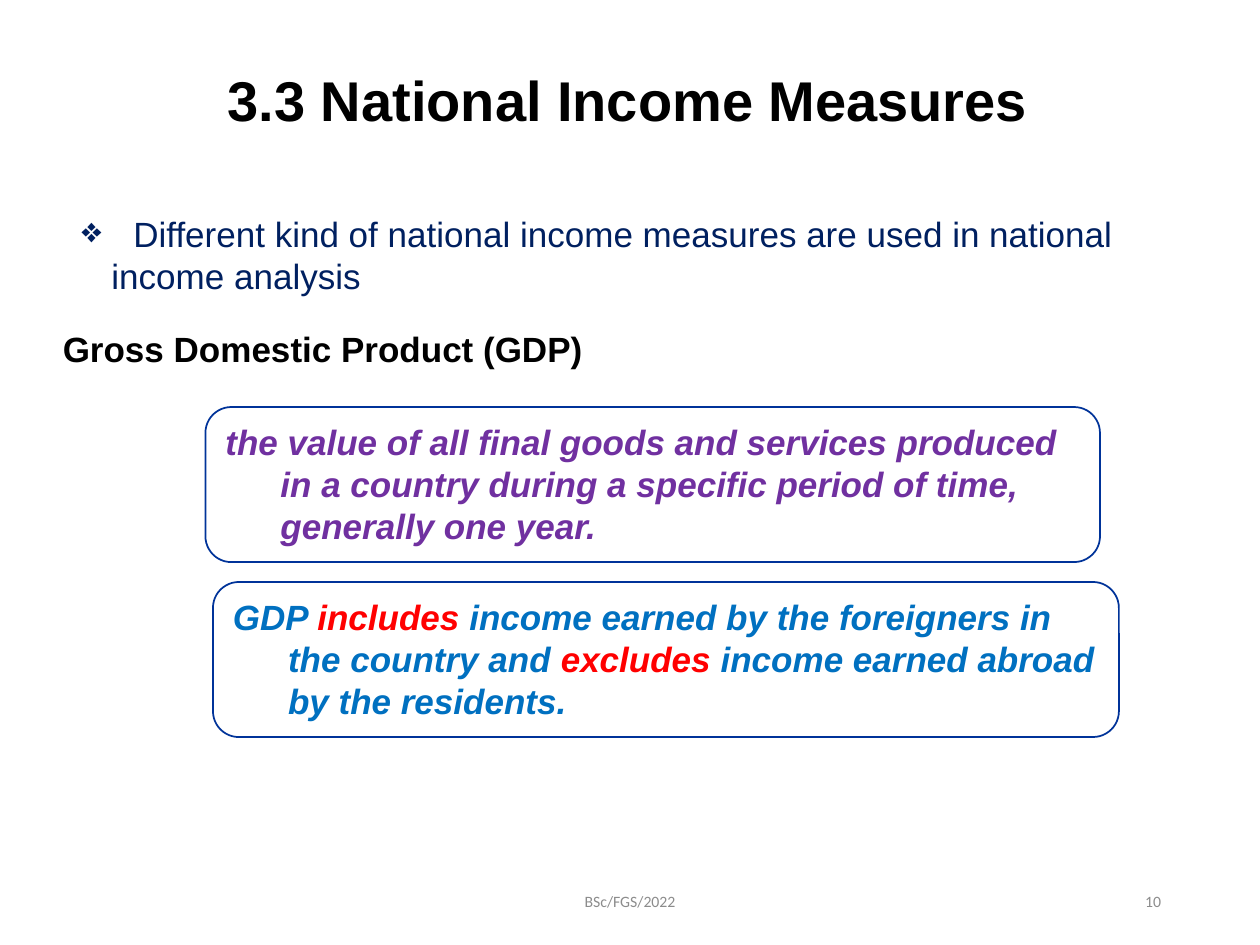
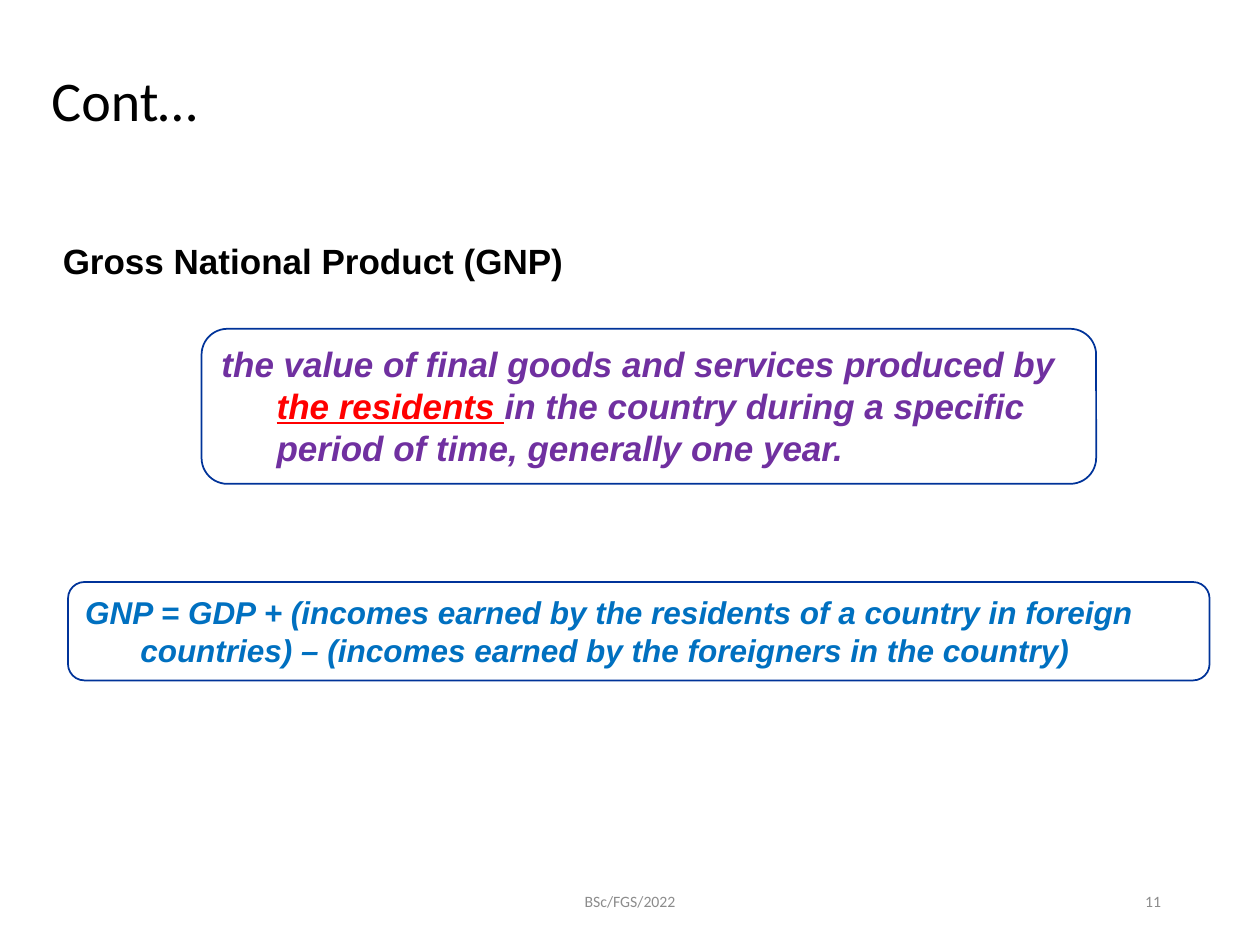
from dataclasses import dataclass
from typing import NamedTuple

from lxml import etree
from pptx import Presentation
from pptx.dml.color import RGBColor
from pptx.enum.shapes import MSO_SHAPE as Kind
from pptx.enum.text import MSO_ANCHOR as Anchor, PP_ALIGN as Align
from pptx.oxml.ns import qn
from pptx.util import Pt

# Shared colours and fonts
BLACK = RGBColor(0x00, 0x00, 0x00)
WHITE = RGBColor(0xFF, 0xFF, 0xFF)
NAVY = RGBColor(0x00, 0x20, 0x60)
PURPLE = RGBColor(0x70, 0x30, 0xA0)
BLUE = RGBColor(0x00, 0x70, 0xC0)
RED = RGBColor(0xFF, 0x00, 0x00)
EDGE = RGBColor(0x00, 0x33, 0x99)
GREY = RGBColor(0x8C, 0x8C, 0x8C)
SANS, BODY = "Arial", "Calibri"


class Area(NamedTuple):
    """Left, top, width and height in points."""
    left: float
    top: float
    width: float
    height: float


class Phrase(NamedTuple):
    """A piece of text, red if it is a key word."""
    text: str
    key: bool = False
    under: bool = False


@dataclass(frozen=True)
class Style:
    size: float
    color: RGBColor
    face: str = SANS
    bold: bool = False
    slant: bool = False
    align: Align = Align.LEFT


@dataclass(frozen=True)
class Panel:
    area: Area
    words: list[Phrase]
    color: RGBColor
    size: float = 20


# Shared places and styles
TITLE = Area(22.3, 28.8, 673.2, 60.5)
FOOTER = Area(238.5, 500.4, 243, 28.8)
NUMBER = Area(508.5, 500.4, 162, 28.8)
HEAD = Style(20, BLACK, bold=True, align=Align.JUSTIFY)
POINT = Style(20, NAVY)
HANG = Pt(31.5)


def set_font(para, style: Style) -> None:
    para.alignment = style.align
    font = para.font
    font.name, font.size = style.face, Pt(style.size)
    font.bold, font.italic = style.bold, style.slant
    font.color.rgb = style.color


def set_hang(para, left: int) -> None:
    props = para._p.get_or_add_pPr()
    props.set("marL", str(left))
    props.set("indent", str(-left))


def add_text(slide, area: Area, text: str, style: Style, anchor=Anchor.TOP):
    frame = slide.shapes.add_textbox(*map(Pt, area)).text_frame
    frame.word_wrap = True
    frame.vertical_anchor = anchor
    para = frame.paragraphs[0]
    para.add_run().text = text
    set_font(para, style)
    return para


def add_title(slide, text: str, style: Style) -> None:
    add_text(slide, TITLE, text, style, Anchor.MIDDLE).line_spacing = 0.9


def add_head(slide, top: float, text: str) -> None:
    add_text(slide, Area(28.8, top, 343.4, 31.7), text, HEAD)


def add_point(slide, area: Area, text: str) -> None:
    """Bulleted text whose first line starts at a tab stop."""
    para = add_text(slide, area, "\t" + text, POINT)
    set_hang(para, Pt(17))
    props = para._p.get_or_add_pPr()
    mark = etree.Element(qn("a:buChar"), char="❖")
    tabs = etree.Element(qn("a:tabLst"))
    etree.SubElement(tabs, qn("a:tab"), pos=str(Pt(29.5)), algn="l")
    props.insert(0, mark)
    props.insert(1, tabs)


def add_panel(slide, panel: Panel) -> None:
    shape = slide.shapes.add_shape(Kind.ROUNDED_RECTANGLE, *map(Pt, panel.area))
    shape.shadow.inherit = False
    shape.fill.solid()
    shape.fill.fore_color.rgb = WHITE
    shape.line.color.rgb = EDGE
    shape.line.width = Pt(1)
    frame = shape.text_frame
    frame.word_wrap = True
    frame.vertical_anchor = Anchor.TOP
    para = frame.paragraphs[0]
    set_hang(para, HANG)
    set_font(para, Style(panel.size, panel.color, bold=True, slant=True))
    for phrase in panel.words:
        run = para.add_run()
        run.text = phrase.text
        run.font.color.rgb = RED if phrase.key else panel.color
        if phrase.under:
            run.font.underline = True


def add_footer(slide, number: int) -> None:
    for area, text, align in ((FOOTER, "BSc/FGS/2022", Align.CENTER),
                              (NUMBER, str(number), Align.RIGHT)):
        add_text(slide, area, text, Style(9, GREY, BODY, align=align),
                 Anchor.MIDDLE)


def draw_gdp(slide) -> None:
    add_title(slide, "3.3 National Income Measures",
              Style(32, BLACK, bold=True, align=Align.CENTER))
    add_point(slide, Area(39.6, 118.1, 656.6, 55.4),
              "Different kind of national income measures are used in "
              "national income analysis")
    add_head(slide, 183.6, "Gross Domestic Product (GDP)")
    add_panel(slide, Panel(Area(117.4, 232.6, 511.2, 88.6), [
        Phrase("the value of all final goods and services produced in a "
               "country during a specific period of time, generally one "
               "year."),
    ], PURPLE))
    add_panel(slide, Panel(Area(121.7, 332.6, 517.7, 88.6), [
        Phrase("GDP "),
        Phrase("includes", key=True),
        Phrase(" income earned by the foreigners in the country and "),
        Phrase("excludes", key=True),
        Phrase(" income earned abroad by the residents."),
    ], BLUE))


def draw_gnp(slide) -> None:
    add_title(slide, "Cont…", Style(32, BLACK, BODY))
    add_head(slide, 133.2, "Gross National Product (GNP)")
    add_panel(slide, Panel(Area(115.2, 187.9, 511.2, 88.6), [
        Phrase("the value of final goods and services produced by "),
        Phrase("the residents ", key=True, under=True),
        Phrase("in the country during a specific period of time, generally "
               "one year."),
    ], PURPLE))
    add_panel(slide, Panel(Area(38.9, 332.6, 652.3, 56.2), [
        Phrase("GNP = GDP + (incomes earned by the residents of a country in "
               "foreign countries) – (incomes earned by the foreigners in "
               "the country)"),
    ], BLUE, size=18))


def main() -> None:
    deck = Presentation()
    deck.slide_width, deck.slide_height = Pt(720), Pt(540)
    blank = deck.slide_layouts[6]
    for number, draw in enumerate((draw_gdp, draw_gnp), start=10):
        slide = deck.slides.add_slide(blank)
        draw(slide)
        add_footer(slide, number)
    deck.save("out.pptx")


if __name__ == "__main__":
    main()
